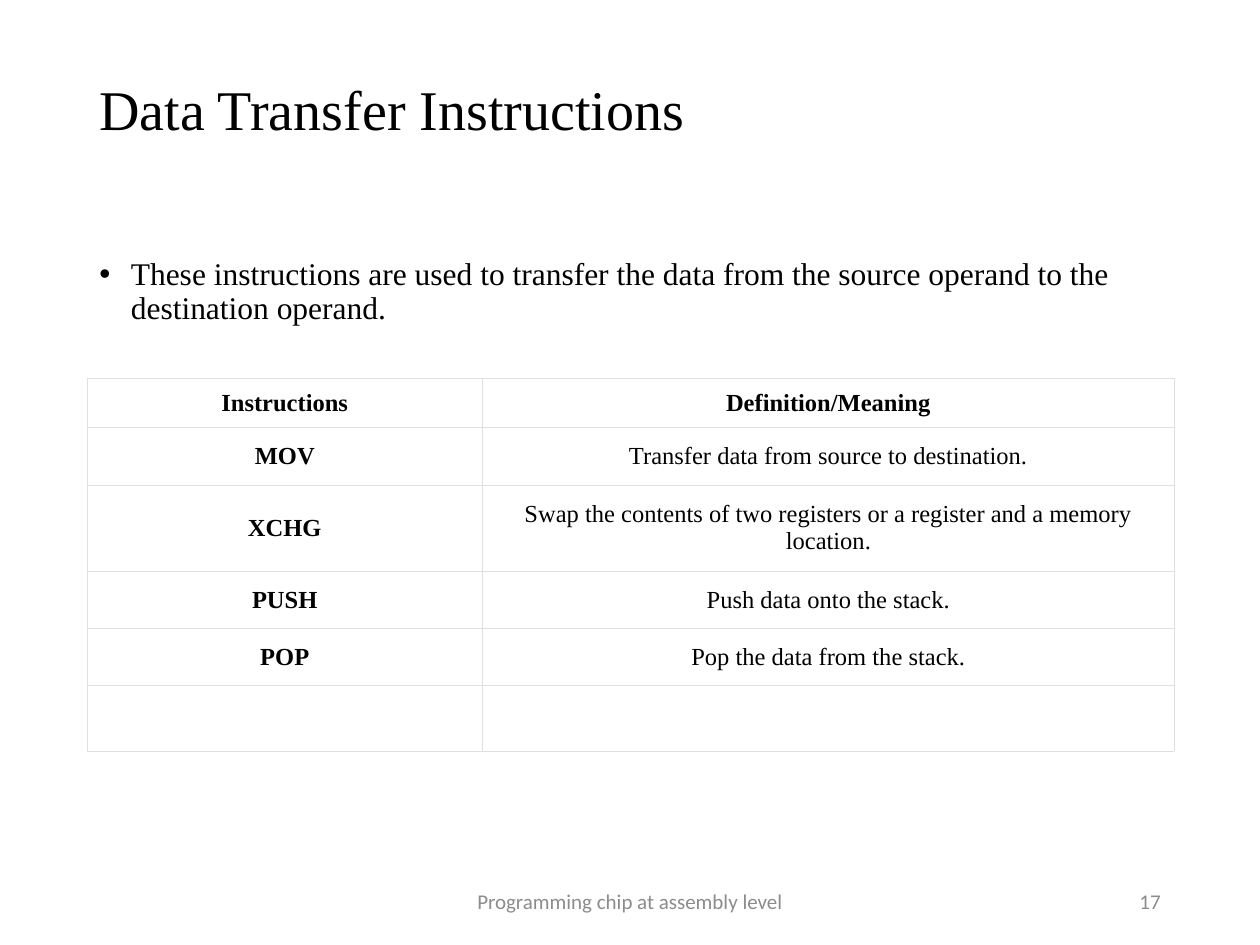
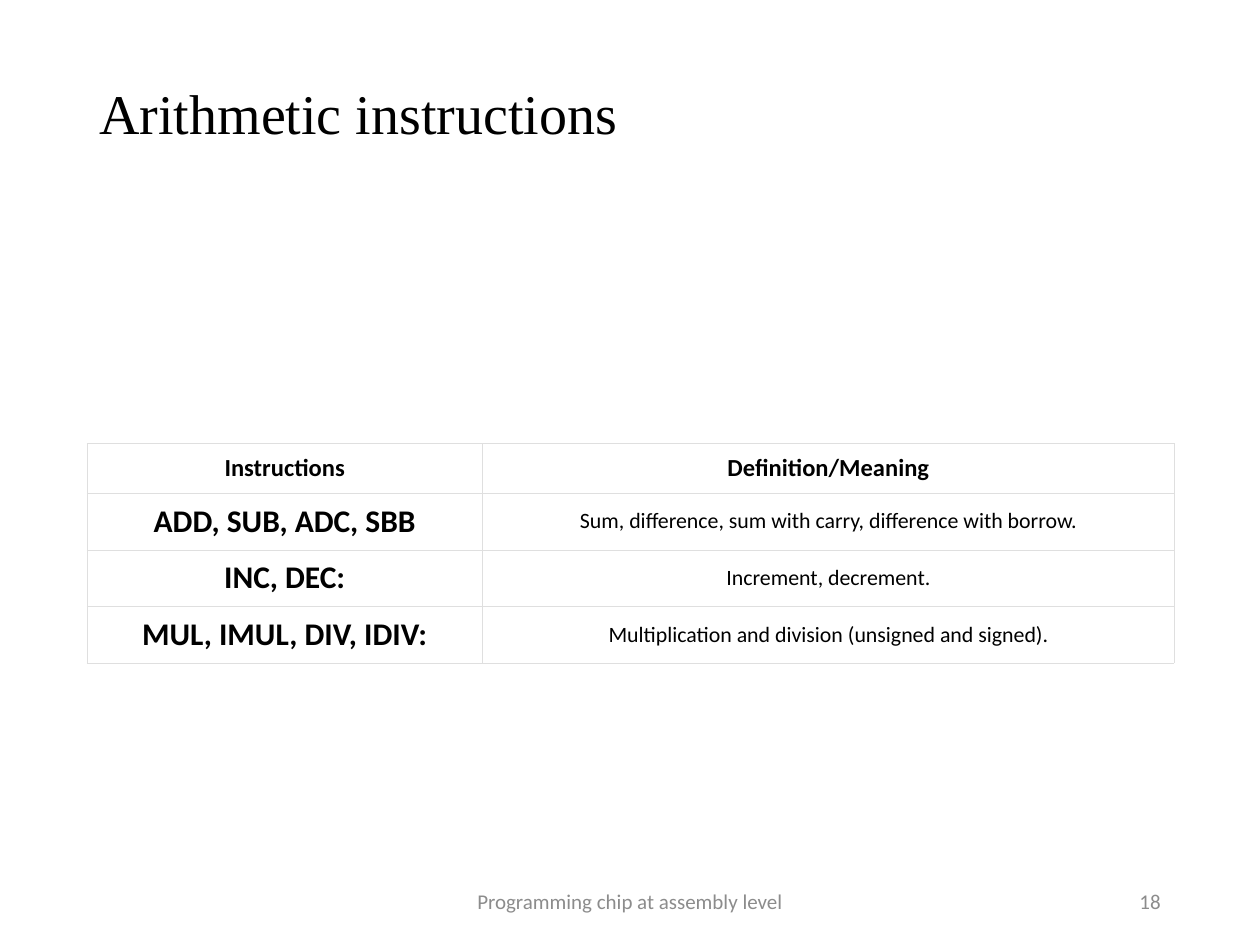
"""Build two slides of chip instruction tables."""
from dataclasses import dataclass

from lxml import etree
from pptx import Presentation
from pptx.dml.color import RGBColor
from pptx.enum.text import MSO_ANCHOR, PP_ALIGN
from pptx.oxml.ns import qn
from pptx.util import Inches, Pt

LEFT, CENTER, RIGHT = PP_ALIGN.LEFT, PP_ALIGN.CENTER, PP_ALIGN.RIGHT
TOP, MIDDLE = MSO_ANCHOR.TOP, MSO_ANCHOR.MIDDLE


@dataclass(frozen=True)
class Theme:
    serif: str = "Times New Roman"
    sans: str = "Calibri"
    ink: str = "000000"
    muted: str = "8C8C8C"
    paper: str = "FFFFFF"
    border: str = "DFDFDF"
    border_width: float = 0.18
    title_size: float = 32
    body_size: float = 18
    footer_size: float = 12
    header_size: float = 14


THEME = Theme()
MARGIN, CONTENT_WIDTH = 0.69, 8.62
COLUMN_WIDTHS = (3.14, 5.49)
FOOTER = "Programming chip at assembly level"
HEADER = ("Instructions", "Definition/Meaning")

SLIDES = [
    {
        "title": "Data Transfer Instructions", "title_inset": 0.25, "number": "17",
        "bullet": "These instructions are used to transfer the data from the source "
                  "operand to the destination operand.",
        "table_top": 3, "font": THEME.serif, "name_size": 14, "meaning_size": 14,
        "row_heights": (0.38, 0.45, 0.67, 0.45, 0.45, 0.5),
        "rows": [
            ("MOV", "Transfer data from source to destination."),
            ("XCHG", "Swap the contents of two registers or a register and a memory location."),
            ("PUSH", "Push data onto the stack."),
            ("POP", "Pop the data from the stack."),
            ("", ""),
        ],
    },
    {
        "title": "Arithmetic instructions", "title_inset": 0.28, "number": "18",
        "bullet": None,
        "table_top": 3.52, "font": THEME.sans, "name_size": 18, "meaning_size": 12.5,
        "row_heights": (0.39, 0.45, 0.45, 0.45),
        "rows": [
            ("ADD, SUB, ADC, SBB", "Sum, difference, sum with carry, difference with borrow."),
            ("INC, DEC:", "Increment, decrement."),
            ("MUL, IMUL, DIV, IDIV:", "Multiplication and division (unsigned and signed)."),
        ],
    },
]


def write_text(frame, text, *, size, font=THEME.serif, color=THEME.ink, bold=False,
               align=LEFT, anchor=TOP, spacing=None, inset_top=0.05):
    frame.word_wrap = True
    frame.vertical_anchor = anchor
    frame.margin_top = Inches(inset_top)
    paragraph = frame.paragraphs[0]
    paragraph.alignment = align
    paragraph.line_spacing = spacing
    run = paragraph.add_run()
    run.text = text
    run.font.size, run.font.name, run.font.bold = Pt(size), font, bold
    run.font.color.rgb = RGBColor.from_string(color)
    return paragraph


def style_cell(cell, side_inset, end_inset):
    cell.fill.solid()
    cell.fill.fore_color.rgb = RGBColor.from_string(THEME.paper)
    cell.vertical_anchor = MIDDLE
    cell.margin_left = cell.margin_right = Inches(side_inset)
    cell.margin_top = cell.margin_bottom = Inches(end_inset)
    properties = cell._tc.get_or_add_tcPr()
    for index, side in enumerate(("a:lnL", "a:lnR", "a:lnT", "a:lnB")):
        line = etree.Element(qn(side), w=str(Pt(THEME.border_width)))
        fill = etree.SubElement(line, qn("a:solidFill"))
        etree.SubElement(fill, qn("a:srgbClr"), val=THEME.border)
        properties.insert(index, line)


presentation = Presentation()
presentation.slide_width, presentation.slide_height = Inches(10), Inches(7.5)
blank_layout = presentation.slide_layouts[6]

for content in SLIDES:
    slide = presentation.slides.add_slide(blank_layout)
    slide.background.fill.solid()
    slide.background.fill.fore_color.rgb = RGBColor.from_string(THEME.paper)

    title = slide.shapes.add_textbox(
        Inches(MARGIN), Inches(0.4), Inches(CONTENT_WIDTH), Inches(1.45))
    write_text(title.text_frame, content["title"], size=THEME.title_size,
               spacing=0.9, inset_top=content["title_inset"])

    if content["bullet"]:
        body = slide.shapes.add_textbox(
            Inches(MARGIN), Inches(2), Inches(CONTENT_WIDTH), Inches(4.76))
        paragraph = write_text(body.text_frame, content["bullet"],
                               size=THEME.body_size, spacing=0.9)
        paragraph.space_before = Pt(10)
        properties = paragraph._p.get_or_add_pPr()
        properties.set("marL", str(Inches(0.25)))
        properties.set("indent", str(Inches(-0.25)))
        etree.SubElement(properties, qn("a:buFont"), typeface="Arial")
        etree.SubElement(properties, qn("a:buChar"), char="•")

    rows = [HEADER, *content["rows"]]
    heights = content["row_heights"]
    table = slide.shapes.add_table(
        len(rows), len(HEADER), Inches(MARGIN), Inches(content["table_top"]),
        Inches(CONTENT_WIDTH), Inches(sum(heights))).table
    table.first_row = table.horz_banding = False
    for column, width in zip(table.columns, COLUMN_WIDTHS):
        column.width = Inches(width)
    for row_index, (texts, height) in enumerate(zip(rows, heights)):
        table.rows[row_index].height = Inches(height)
        is_header = row_index == 0
        sizes = (content["name_size"], content["meaning_size"])
        if is_header:
            sizes = (THEME.header_size, THEME.header_size)
        end_insets = (0.08, 0.08) if is_header else (0.05, 0.11)
        for column_index, text in enumerate(texts):
            cell = table.cell(row_index, column_index)
            if text:
                write_text(cell.text_frame, text, size=sizes[column_index],
                           font=content["font"], align=CENTER,
                           bold=is_header or column_index == 0)
            style_cell(cell, (0.04, 0.08)[column_index], end_insets[column_index])

    for text, left, width, align in ((FOOTER, 3.31, 3.38, CENTER),
                                     (content["number"], 7.06, 2.25, RIGHT)):
        footer = slide.shapes.add_textbox(
            Inches(left), Inches(6.95), Inches(width), Inches(0.4))
        write_text(footer.text_frame, text, size=THEME.footer_size, font=THEME.sans,
                   color=THEME.muted, align=align, anchor=MIDDLE)

presentation.save("out.pptx")
